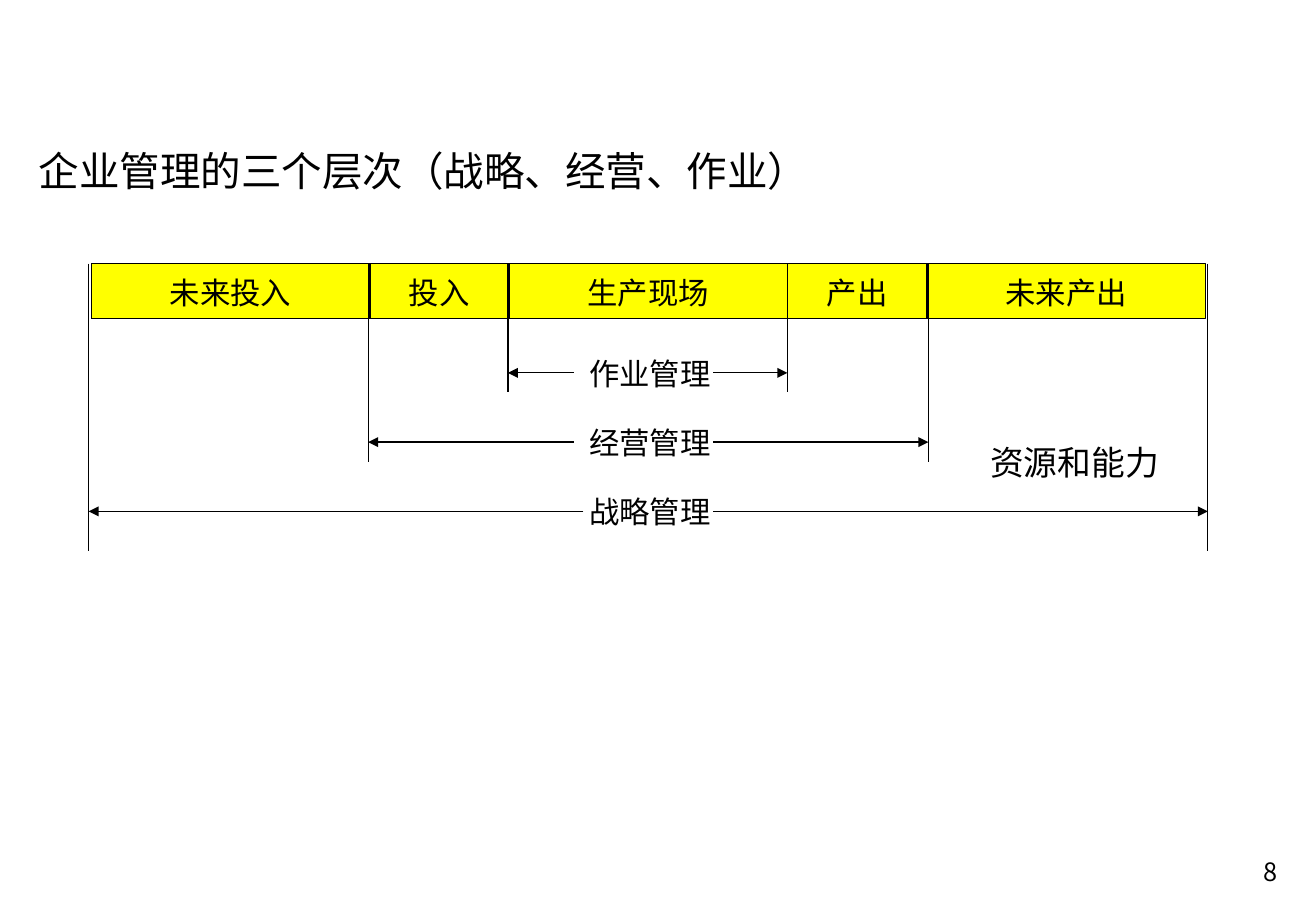
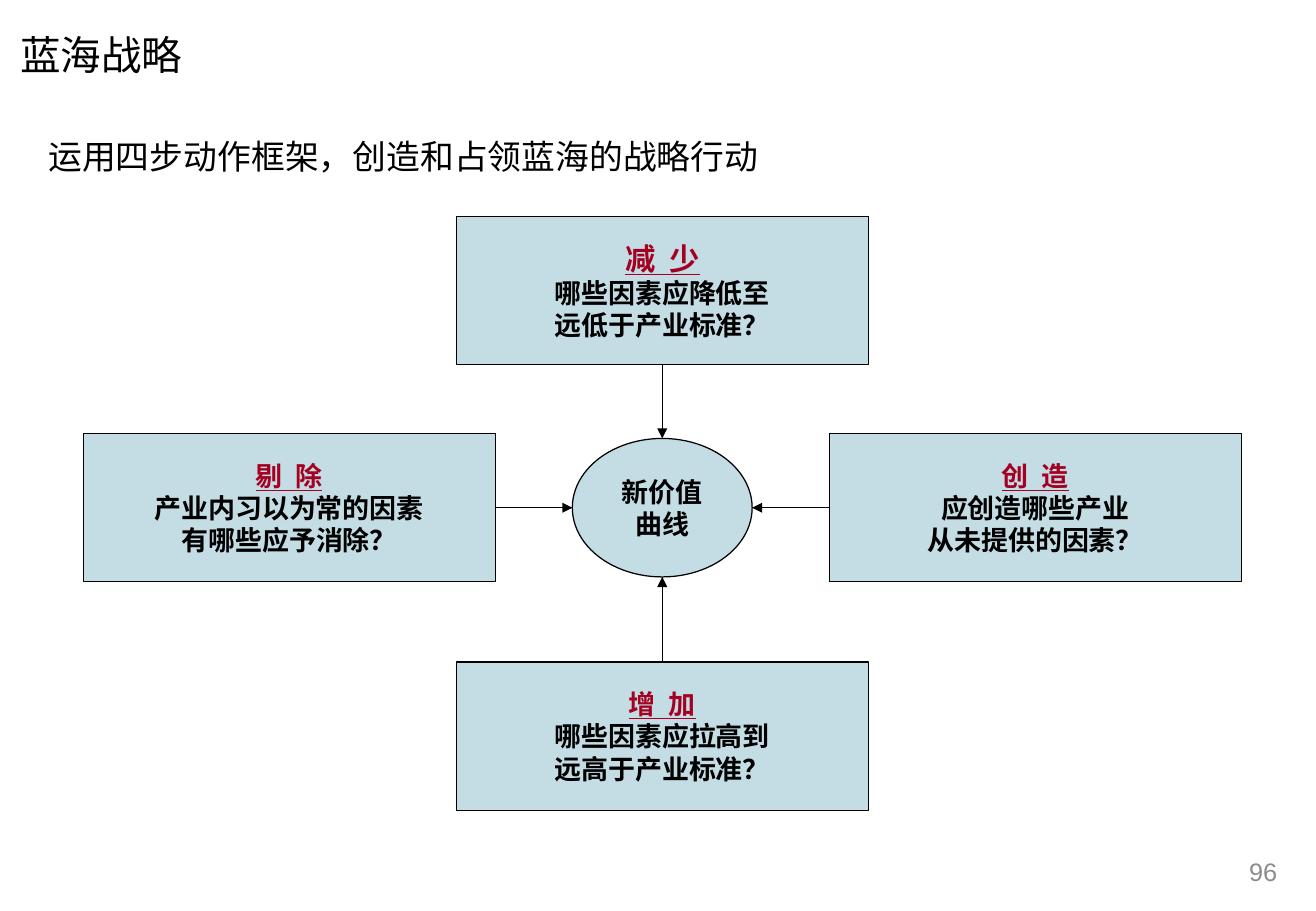
import pptx
import pptx.util
import pptx.dml.color
import pptx.enum.shapes
import pptx.enum.text
import pptx.oxml.ns
from itertools import accumulate
from lxml import etree

Inches = pptx.util.Inches
Pt = pptx.util.Pt
qn = pptx.oxml.ns.qn
Align = pptx.enum.text.PP_ALIGN
Anchor = pptx.enum.text.MSO_ANCHOR
Kind = pptx.enum.shapes.MSO_SHAPE


class Theme:
    black, gray, red = "000000", "8C8C8C", "A50021"
    yellow, blue = "FFFF00", "C4DDE5"
    title, lead, label, body, page = 24, 20, 18, 16, 15
    sans, latin = "Noto Sans CJK SC", "Arial"
    thin, thick = 0.75, 1


def color(code):
    return pptx.dml.color.RGBColor.from_string(code)


def write(par, text, size=Theme.label, ink=Theme.black, font=Theme.sans,
          bold=False, under=False, align=Align.LEFT, lead=None, gap=0):
    """Fill a paragraph; a vertical tab breaks the line, gap spreads letters."""
    par.text = text
    par.alignment = align
    if lead:
        par.line_spacing = lead
    for run in par.runs:
        face = run.font
        face.name, face.size, face.bold, face.underline = font, Pt(size), bold, under
        face.color.rgb = color(ink)
        props = run._r.get_or_add_rPr()
        etree.SubElement(props, qn("a:ea"), typeface=Theme.sans)
        if gap:
            props.set("spc", str(int(gap * 100)))
    for br in par._p.findall(qn("a:br")):
        etree.SubElement(br, qn("a:rPr"), sz=str(size * 100))


class Deck:
    def __init__(self, wide, high):
        self.prs = pptx.Presentation()
        self.prs.slide_width, self.prs.slide_height = Inches(wide), Inches(high)
        self.slide = None

    def start(self, number, **look):
        self.slide = self.prs.slides.add_slide(self.prs.slide_layouts[6])
        self.text(number, 8.08, 7, 2.53, 0.35, size=Theme.page,
                  align=Align.RIGHT, **look)

    def text(self, words, x, y, w, h, anchor=Anchor.TOP, **look):
        box = self.slide.shapes.add_textbox(*map(Inches, (x, y, w, h)))
        box.text_frame.word_wrap = True
        box.text_frame.vertical_anchor = anchor
        write(box.text_frame.paragraphs[0], words, **look)

    def shape(self, kind, x, y, w, h, fill, parts):
        """Draw an outlined shape; parts holds (text, format) per paragraph."""
        box = self.slide.shapes.add_shape(kind, *map(Inches, (x, y, w, h)))
        box.shadow.inherit = False
        box.fill.solid()
        box.fill.fore_color.rgb = color(fill)
        box.line.color.rgb = color(Theme.black)
        box.line.width = Pt(Theme.thin)
        frame = box.text_frame
        frame.word_wrap = False
        frame.vertical_anchor = Anchor.MIDDLE
        frame.margin_left = frame.margin_right = 0
        frame.margin_top = frame.margin_bottom = 0
        for i, (words, look) in enumerate(parts):
            par = frame.add_paragraph() if i else frame.paragraphs[0]
            write(par, words, align=Align.CENTER, **look)
        return box

    def line(self, x1, y1, x2, y2, width=Theme.thin, arrow=False):
        link = self.slide.shapes.add_connector(
            pptx.enum.shapes.MSO_CONNECTOR.STRAIGHT, *map(Inches, (x1, y1, x2, y2)))
        link.line.color.rgb = color(Theme.black)
        link.line.width = Pt(width)
        if arrow:
            etree.SubElement(link.line._get_or_add_ln(), qn("a:tailEnd"), type="triangle")
        etree.SubElement(link._element.spPr, qn("a:effectLst"))
        return link


def levels(deck):
    deck.start("8")
    left, top, base, unit = 0.75, 2.17, 2.62, 9.17 / 8
    names = ["未来投入", "投入", "生产现场", "产出", "未来产出"]
    edges = [left + unit * n for n in accumulate([0, 2, 1, 2, 1, 2])]
    for name, x, end in zip(names, edges, edges[1:]):
        deck.shape(Kind.RECTANGLE, x, top, end - x, base - top, Theme.yellow,
                   [(name, dict(lead=1.1))])
    for y in (top, base):
        deck.line(edges[0], y, edges[-1], y)
    for x in edges[1:-1]:
        deck.line(x, top, x, base, width=Theme.thick)

    spans = [("作业管理", 4.18, 6.48, 3.23, 4.72),
             ("经营管理", 3.03, 7.64, 3.8, 4.72),
             ("战略管理", 0.73, 9.94, 4.54, 4.8)]
    for i, (name, low, high, foot, start) in enumerate(spans):
        y = 3.07 + 0.57 * i
        deck.text(name, 4.75, y - 0.2, 1.26, 0.4, anchor=Anchor.MIDDLE)
        for x, tip in ((start, low), (5.87, high)):
            deck.line(tip, top, tip, foot)
            deck.line(x, y, tip, y, arrow=True)
    deck.text("资源和能力", 8.05, 3.59, 1.77, 0.44, size=Theme.lead)
    deck.text("企业管理的三个层次（战略、经营、作业）", 0.22, 1.15, 6.6, 0.5,
              size=Theme.title)


def ocean(deck):
    deck.start("96", font=Theme.latin, ink=Theme.gray)
    deck.text("蓝海战略", 0.07, 0.2, 1.55, 0.5, size=Theme.title)
    deck.text("运用四步动作框架，创造和占领蓝海的战略行动", 0.3, 1.07, 6.17, 0.44,
              size=Theme.lead)
    midx, midy, radx, rady = 5.45, 4.18, 0.74, 0.57
    wide, high = 3.39, 1.22
    body = dict(size=Theme.body, font=Theme.latin, bold=True)
    deck.shape(Kind.OVAL, midx - radx, midy - rady, 2 * radx, 2 * rady,
               Theme.blue, [("新价值\v曲线", body)])
    # head, question, offset from the centre, side joined, head size
    steps = [("剔 除", "产业内习以为常的因素\v有哪些应予消除？", -3.07, 0, 3, Theme.body),
             ("创 造", "应创造哪些产业\v从未提供的因素？", 3.07, 0, 1, Theme.body),
             ("减 少", "哪些因素应降低至\v远低于产业标准？", 0, -1.79, 2, Theme.label),
             ("增 加", "哪些因素应拉高到\v远高于产业标准？", 0, 1.88, 0, Theme.body)]
    for name, ask, dx, dy, side, size in steps:
        head = dict(body, size=size, ink=Theme.red, under=True, gap=2)
        box = deck.shape(Kind.RECTANGLE, midx + dx - wide / 2, midy + dy - high / 2,
                         wide, high, Theme.blue, [(name, head), (ask, body)])
        tipx = midx + radx * ((dx > 0) - (dx < 0))
        tipy = midy + rady * ((dy > 0) - (dy < 0))
        link = deck.line(midx + dx, midy + dy, tipx, tipy, arrow=True)
        link.begin_connect(box, side)


def main():
    deck = Deck(10.83, 7.5)
    levels(deck)
    ocean(deck)
    deck.prs.save("out.pptx")


if __name__ == "__main__":
    main()
